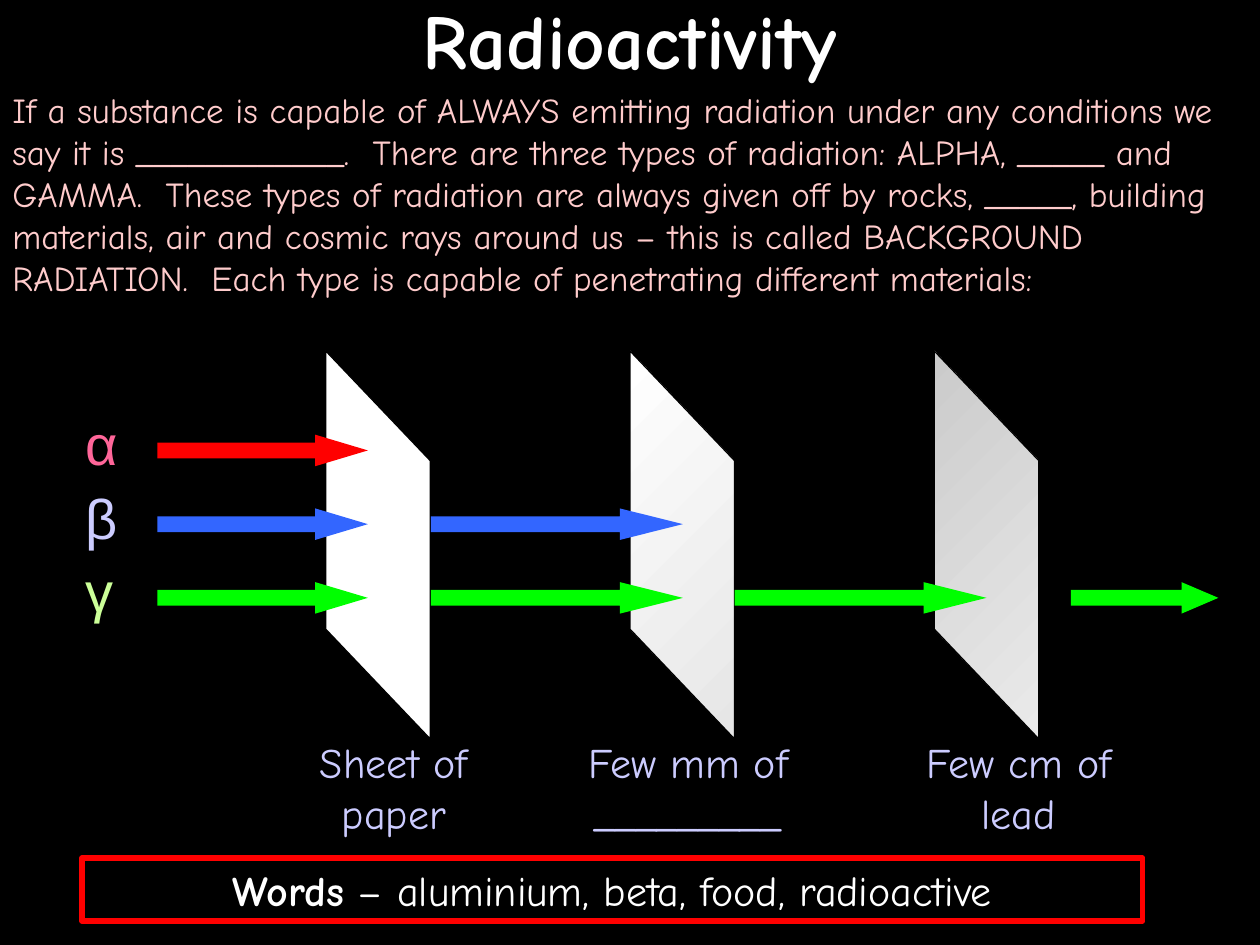
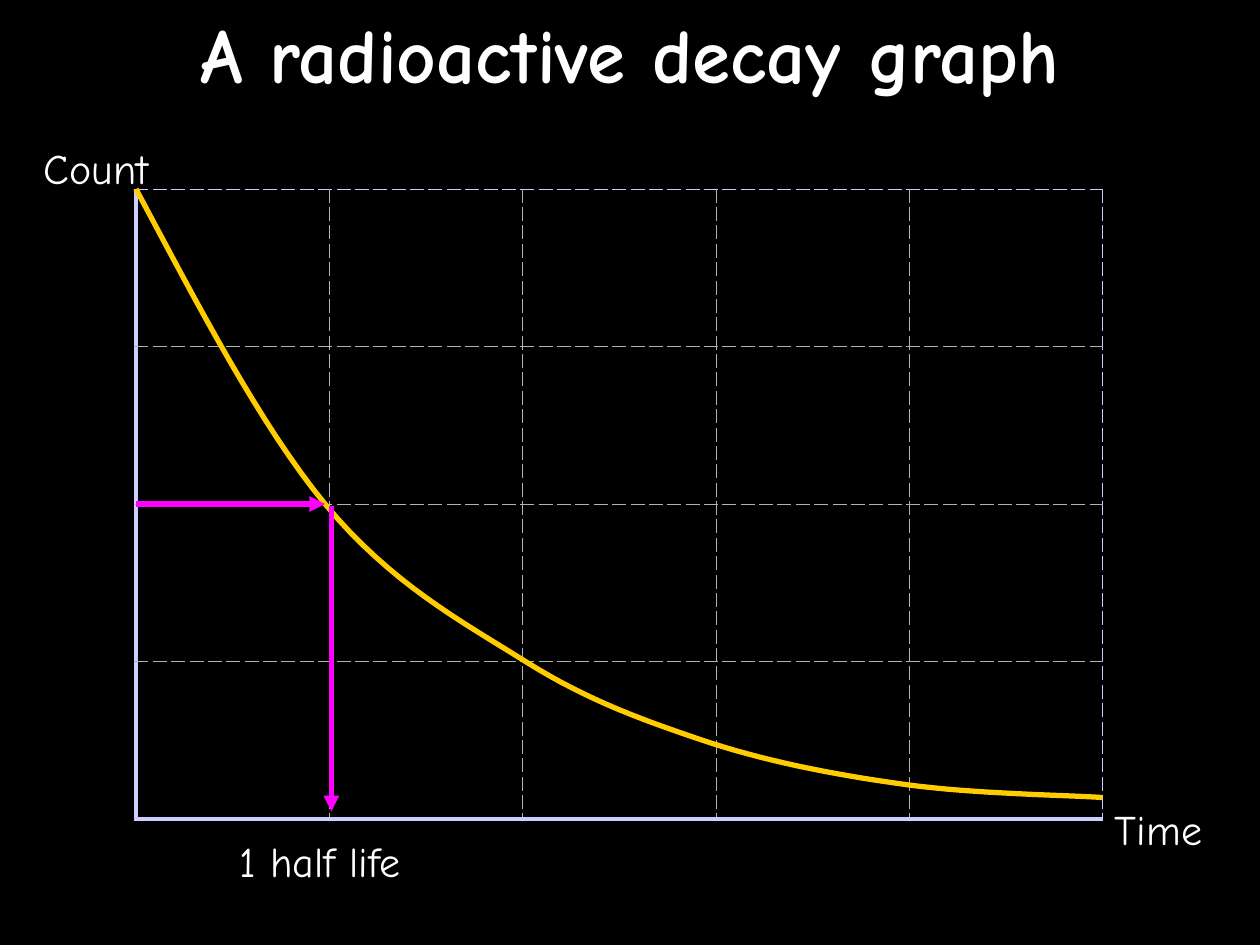
"""Builds two slides on radioactivity and half life."""
import pptx
import pptx.util
import pptx.dml.color
import pptx.enum.dml
import pptx.enum.shapes
import pptx.enum.text
import pptx.oxml
import pptx.oxml.ns

Inches = pptx.util.Inches
Pt = pptx.util.Pt
Kind = pptx.enum.shapes.MSO_SHAPE
Align = pptx.enum.text.PP_ALIGN


class Theme:
    font, greek = "Comic Neue", "Arial"
    black, white = "000000", "FFFFFF"
    pink, lilac, rose, lime = "FFCCCC", "CCCCFF", "FF6699", "CCFF99"
    red, blue, green = "FF0000", "3366FF", "00FF00"
    gold, mauve, grey = "FFCC00", "FF00FF", "B2B2B2"
    title, symbol, label, body = 44, 32, 24, 20
    thick, axis, grid, edge = 3, 2.21, 0.45, 0.75


INTRO = (
    "If a substance is capable of ALWAYS emitting radiation under any conditions "
    "we say it is ____________.  There are three types of radiation: ALPHA, _____ "
    "and GAMMA.  These types of radiation are always given off by rocks, _____, "
    "building materials, air and cosmic rays around us – this is called BACKGROUND "
    "RADIATION.  Each type is capable of penetrating different materials:"
)
WORDS = ["Words", " – aluminium, beta, food, radioactive"]
RAYS = [
    ("α", Theme.rose, Theme.red, 1),
    ("β", Theme.lilac, Theme.blue, 2),
    ("γ", Theme.lime, Theme.green, 4),
]
LEGS = [(1.25, 1.67), (3.42, 2), (5.83, 2), (8.5, 1.17)]
PLATES = [
    ("Sheet of paper", 2, 2.25, None),
    ("Few mm of _________", 4.17, 2.58, ("E6E6E6", "FFFFFF")),
    ("Few cm of lead", 6.92, 2.33, ("EAEAEA", "CBCBCB")),
]
LABELS = [
    ("Time", 8.75, 6.33, 1.17, Align.LEFT),
    ("Count", 0.25, 1.08, 1.17, Align.LEFT),
    ("1 half life", 1.58, 6.58, 1.92, Align.CENTER),
]
GRAPH = (1.08, 1.5, 7.67, 5)
ROWS, COLS = 4, 5
START = (1.08, 1.5)
BENDS = [
    ((1.58, 2.44), (2.07, 3.38), (2.58, 4)),
    ((3.1, 4.63), (3.66, 4.93), (4.17, 5.25)),
    ((4.68, 5.57), (5.14, 5.73), (5.65, 5.9)),
    ((6.15, 6.06), (6.69, 6.16), (7.21, 6.23)),
    ((7.73, 6.3), (8.43, 6.31), (8.75, 6.33)),
]
ARROWS = [((1.08, 4), (2.58, 4)), ((2.63, 4.02), (2.63, 6.44))]


def rgb(code):
    return pptx.dml.color.RGBColor.from_string(code)


def place(box):
    return [Inches(n) for n in box]


def style(frame, size, color, align=Align.LEFT, font=Theme.font, bold=False):
    frame.word_wrap = True
    for para in frame.paragraphs:
        para.alignment = align
        for run in para.runs:
            run.font.name, run.font.size = font, Pt(size)
            run.font.bold = bold
            run.font.color.rgb = rgb(color)


def write(slide, text, box, size, color, align=Align.LEFT, font=Theme.font):
    frame = slide.shapes.add_textbox(*place(box)).text_frame
    frame.text = text
    style(frame, size, color, align, font)


def draw(slide, kind, box, fill=None, line=None, width=0):
    shape = slide.shapes.add_shape(kind, *place(box))
    shape.shadow.inherit = False
    if fill:
        shape.fill.solid()
        shape.fill.fore_color.rgb = rgb(fill)
    else:
        shape.fill.background()
    if line:
        shape.line.color.rgb = rgb(line)
        shape.line.width = Pt(width)
    else:
        shape.line.fill.background()
    return shape


def start(deck, text, height):
    slide = deck.slides.add_slide(deck.slide_layouts[5])
    title = slide.shapes.title
    title.left, title.top, title.width, title.height = place((0, 0, 10, height))
    frame = title.text_frame
    frame.text = text
    frame.auto_size = pptx.enum.text.MSO_AUTO_SIZE.NONE
    frame.vertical_anchor = pptx.enum.text.MSO_ANCHOR.MIDDLE
    style(frame, Theme.title, Theme.white, Align.CENTER, bold=True)
    return slide


def plate(slide, index, shades):
    box = (1.46 + 2.415 * index, 3.91, 3.08, 0.83)
    shape = draw(slide, Kind.PARALLELOGRAM, box, Theme.white, Theme.black, Theme.edge)
    shape.rotation = 90
    shape.adjustments[0] = 1.05
    if shades:
        shape.fill.gradient()
        shape.fill.gradient_angle = 135
        for stop, shade in zip(shape.fill.gradient_stops, shades):
            stop.color.rgb = rgb(shade)
        grad = shape.element.spPr.find(pptx.oxml.ns.qn("a:gradFill"))
        grad.set("rotWithShape", "0")


def rays(deck):
    slide = start(deck, "Radioactivity", 0.61)
    write(slide, INTRO, (0, 0.65, 10, 1.77), Theme.body, Theme.pink)
    for index, (text, left, width, shades) in enumerate(PLATES):
        plate(slide, index, shades)
        write(slide, text, (left, 5.8, width, 0.9), Theme.label, Theme.lilac, Align.CENTER)
    for index, (sign, tint, color, reach) in enumerate(RAYS):
        drop = 0.585 * index
        write(slide, sign, (0.58, 3.2 + drop, 0.67, 0.64), Theme.symbol, tint, font=Theme.greek)
        for left, width in LEGS[:reach]:
            arrow = draw(slide, Kind.RIGHT_ARROW, (left, 3.45 + drop, width, 0.25), color)
            arrow.adjustments[1] = width
    box = draw(slide, Kind.RECTANGLE, (0.65, 6.81, 8.42, 0.5), None, Theme.red, Theme.thick)
    para = box.text_frame.paragraphs[0]
    for part in WORDS:
        para.add_run().text = part
    style(box.text_frame, Theme.label, Theme.white, Align.CENTER)
    para.runs[0].font.bold = True


def border(cell, sides):
    props = cell._tc.get_or_add_tcPr()
    for index, (side, color, width, dash) in enumerate(sides):
        props.insert(index, pptx.oxml.parse_xml(
            f'<a:ln{side} {pptx.oxml.ns.nsdecls("a")} w="{Pt(width)}">'
            f'<a:solidFill><a:srgbClr val="{color}"/></a:solidFill>'
            f'<a:prstDash val="{dash}"/></a:ln{side}>'))


def grid(slide):
    table = slide.shapes.add_table(ROWS, COLS, *place(GRAPH)).table
    table.first_row = table.horz_banding = False
    rule = (Theme.grey, Theme.grid, "dash")
    rim = (Theme.lilac, Theme.grid, "dash")
    axis = (Theme.lilac, Theme.axis, "solid")
    for row in range(ROWS):
        for col in range(COLS):
            cell = table.cell(row, col)
            cell.fill.background()
            border(cell, [
                ("L", *(axis if col == 0 else rule)),
                ("R", *(rim if col == COLS - 1 else rule)),
                ("T", *(rim if row == 0 else rule)),
                ("B", *(axis if row == ROWS - 1 else rule)),
            ])


def trace(first, bends, steps=16):
    points = []
    for one, two, last in bends:
        for step in range(1, steps + 1):
            t = step / steps
            u = 1 - t
            points.append(tuple(
                Inches(u**3 * a + 3 * u * u * t * b + 3 * u * t * t * c + t**3 * d)
                for a, b, c, d in zip(first, one, two, last)))
        first = last
    return points


def decay(deck):
    slide = start(deck, "A radioactive decay graph", 0.84)
    grid(slide)
    pen = slide.shapes.build_freeform(*place(START))
    pen.add_line_segments(trace(START, BENDS), close=False)
    curve = pen.convert_to_shape()
    curve.shadow.inherit = False
    curve.fill.background()
    curve.line.color.rgb = rgb(Theme.gold)
    curve.line.width = Pt(Theme.thick)
    for text, left, top, width, align in LABELS:
        write(slide, text, (left, top, width, 0.5), Theme.label, Theme.white, align)
    for tail, head in ARROWS:
        link = slide.shapes.add_connector(
            pptx.enum.shapes.MSO_CONNECTOR.STRAIGHT, *place(tail + head))
        link.line.color.rgb = rgb(Theme.mauve)
        link.line.width = Pt(Theme.thick)
        space = pptx.oxml.ns.nsdecls("a")
        link.line._get_or_add_ln().append(
            pptx.oxml.parse_xml(f'<a:tailEnd {space} type="triangle"/>'))
        link._element.spPr.append(pptx.oxml.parse_xml(f"<a:effectLst {space}/>"))


def main():
    deck = pptx.Presentation()
    deck.slide_width, deck.slide_height = Inches(10), Inches(7.5)
    back = deck.slide_master.background.fill
    back.solid()
    back.fore_color.rgb = rgb(Theme.black)
    rays(deck)
    decay(deck)
    deck.save("out.pptx")


if __name__ == "__main__":
    main()
